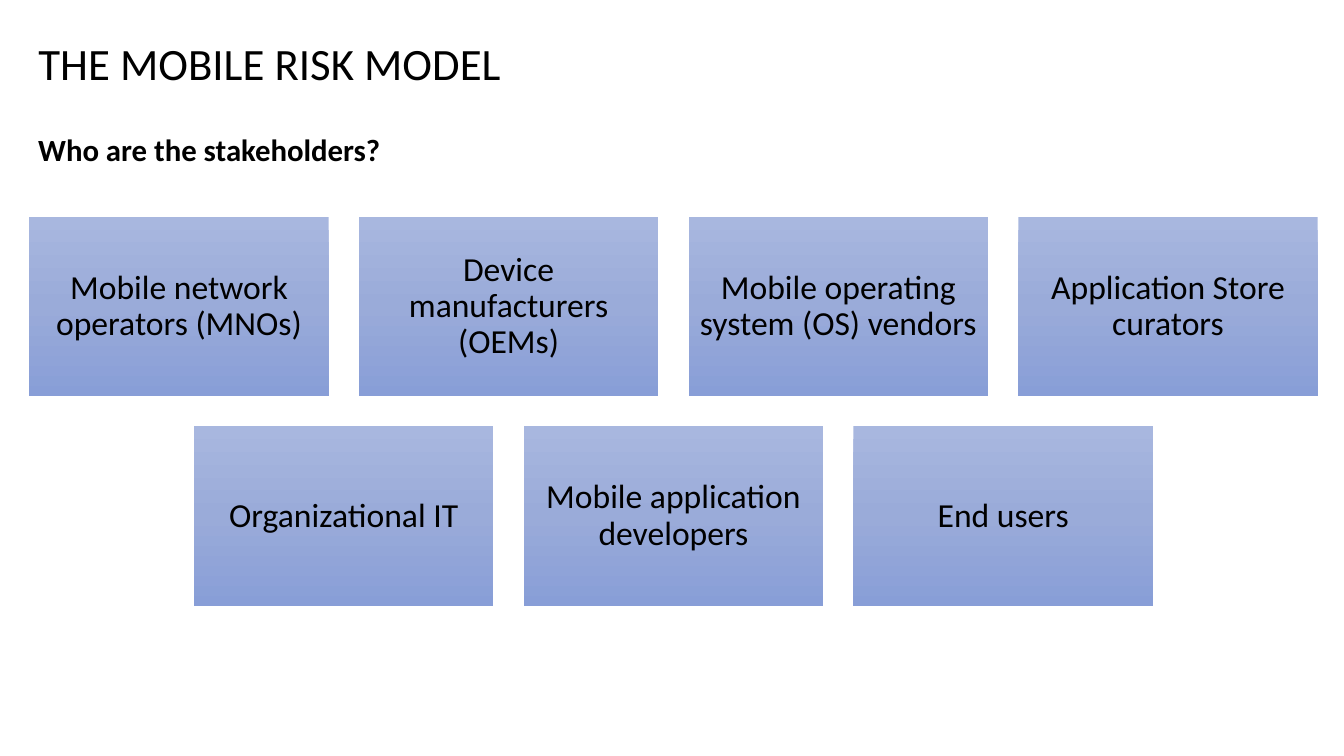
from copy import deepcopy
from dataclasses import dataclass

from pptx import Presentation
from pptx.dml.color import RGBColor
from pptx.enum.shapes import MSO_SHAPE
from pptx.enum.text import MSO_ANCHOR, MSO_AUTO_SIZE, PP_ALIGN
from pptx.oxml.ns import qn
from pptx.util import Inches, Pt


@dataclass(frozen=True)
class Theme:
    font: str = "Calibri"
    text: str = "000000"
    gradient: tuple = ("A8B7DF", "9AABD9", "889ED7")
    title_size: int = 32
    question_size: int = 22
    card_size: int = 24


THEME = Theme()

STAKEHOLDER_ROWS = (
    (
        "Mobile network operators (MNOs)",
        "Device manufacturers (OEMs)",
        "Mobile operating system (OS) vendors",
        "Application Store curators",
    ),
    ("Organizational IT", "Mobile application developers", "End users"),
)

CONTENT_LEFT, CONTENT_WIDTH = 0.28, 12.79
GRID_CENTER, GRID_TOP = 6.68, 2.15
CARD_WIDTH, CARD_HEIGHT, GAP = 2.97, 1.78, 0.3


def write_text(frame, text, size, align, bold=False):
    frame.word_wrap = True
    frame.auto_size = MSO_AUTO_SIZE.NONE
    paragraph = frame.paragraphs[0]
    paragraph.text = text
    paragraph.alignment = align
    paragraph.font.name = THEME.font
    paragraph.font.size = Pt(size)
    paragraph.font.bold = bold
    paragraph.font.color.rgb = RGBColor.from_string(THEME.text)
    return paragraph


def add_title(slide, text):
    title = slide.shapes.title
    title.left, title.top = Inches(CONTENT_LEFT), Inches(0)
    title.width, title.height = Inches(CONTENT_WIDTH), Inches(1.25)
    title.text_frame.vertical_anchor = MSO_ANCHOR.MIDDLE
    write_text(title.text_frame, text, THEME.title_size, PP_ALIGN.LEFT)


def add_question(slide, text):
    question = slide.shapes.add_textbox(
        Inches(CONTENT_LEFT), Inches(1.25), Inches(CONTENT_WIDTH), Inches(5.03)
    )
    write_text(question.text_frame, text, THEME.question_size,
               PP_ALIGN.JUSTIFY, bold=True)


def fill_with_gradient(shape):
    """Apply the three theme colours from top to bottom."""
    shape.fill.gradient()
    shape.fill.gradient_angle = 270
    stop_list = shape.element.spPr.find(qn("a:gradFill")).find(qn("a:gsLst"))
    stop_list.insert(1, deepcopy(stop_list[0]))
    for index, stop in enumerate(shape.fill.gradient_stops):
        stop.position = index / 2
        stop.color.rgb = RGBColor.from_string(THEME.gradient[index])


def add_card(slide, left, top, stakeholder):
    card = slide.shapes.add_shape(
        MSO_SHAPE.RECTANGLE, Inches(left), Inches(top),
        Inches(CARD_WIDTH), Inches(CARD_HEIGHT),
    )
    card.shadow.inherit = False
    card.line.fill.background()
    fill_with_gradient(card)
    frame = card.text_frame
    frame.margin_left = frame.margin_right = Inches(0.1)
    frame.margin_top = frame.margin_bottom = Inches(0.1)
    frame.vertical_anchor = MSO_ANCHOR.MIDDLE
    label = write_text(frame, stakeholder, THEME.card_size, PP_ALIGN.CENTER)
    label.line_spacing = 0.9


def add_stakeholder_grid(slide):
    """Lay out each row of cards centred on the same axis."""
    for row, stakeholders in enumerate(STAKEHOLDER_ROWS):
        count = len(stakeholders)
        row_width = count * CARD_WIDTH + (count - 1) * GAP
        row_left = GRID_CENTER - row_width / 2
        top = GRID_TOP + row * (CARD_HEIGHT + GAP)
        for column, stakeholder in enumerate(stakeholders):
            left = row_left + column * (CARD_WIDTH + GAP)
            add_card(slide, left, top, stakeholder)


def main():
    presentation = Presentation()
    presentation.slide_width = Inches(13.33)
    presentation.slide_height = Inches(7.5)
    title_only = presentation.slide_layouts[5]
    slide = presentation.slides.add_slide(title_only)
    add_title(slide, "THE MOBILE RISK MODEL")
    add_question(slide, "Who are the stakeholders?")
    add_stakeholder_grid(slide)
    presentation.save("out.pptx")


if __name__ == "__main__":
    main()
